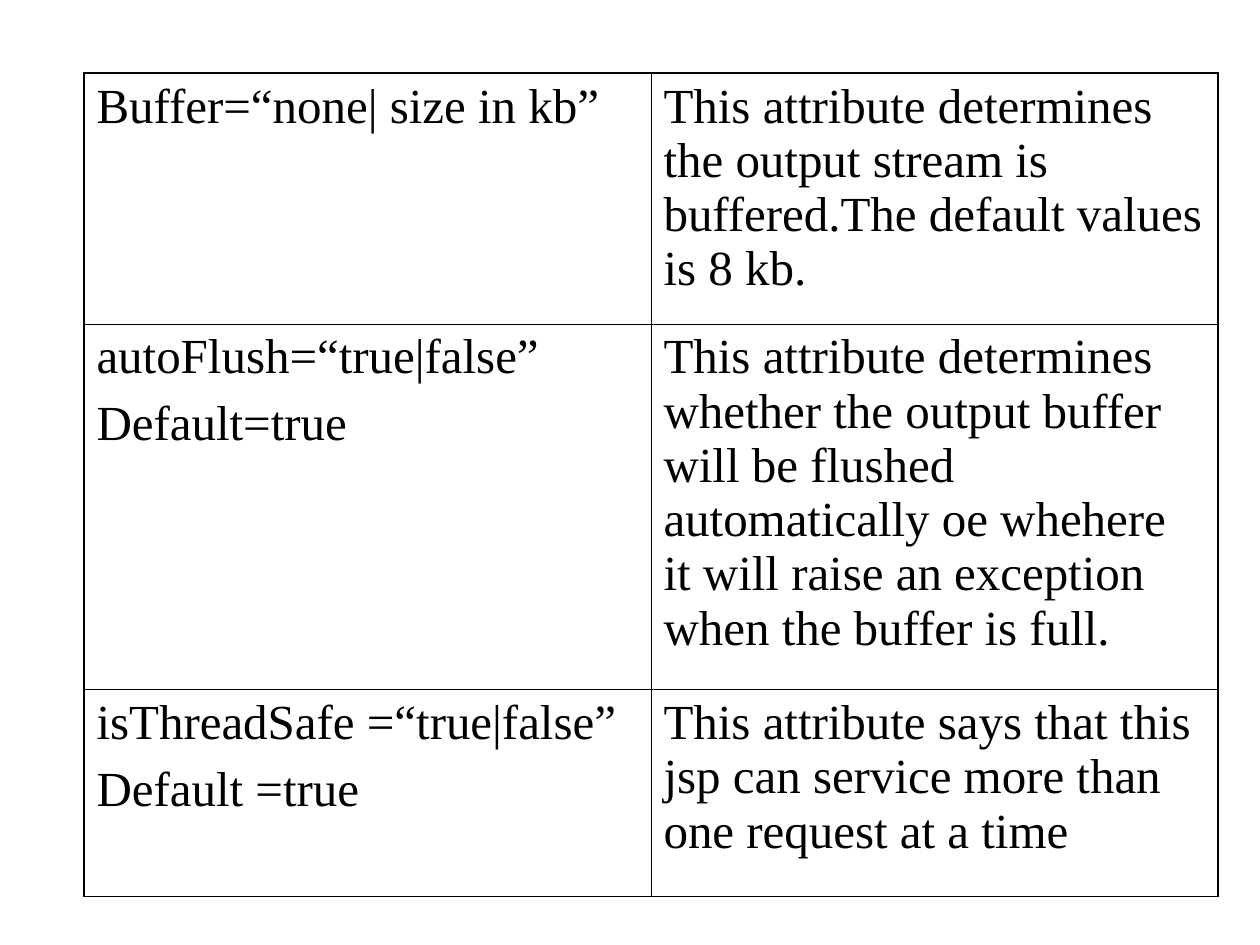
from lxml.etree import SubElement
from pptx import Presentation
from pptx.dml.color import RGBColor
from pptx.oxml.ns import qn
from pptx.util import Pt

BLACK = RGBColor(0, 0, 0)
FONT = "Times New Roman"
OUTER, INNER = Pt(1.08), Pt(0.45)
ROW_HEIGHTS = [143.4, 209, 118.2]
ATTRIBUTES = [
    ("Buffer=“none| size in kb”",
     "This attribute determines the output stream is buffered."
     "The default values is 8 kb."),
    ("autoFlush=“true|false”\nDefault=true",
     "This attribute determines whether the output buffer will be flushed "
     "automatically oe whehere it will raise an exception when the buffer is full."),
    ("isThreadSafe =“true|false”\nDefault =true",
     "This attribute says that this jsp can service more than one request at a time"),
]


def set_borders(cell, outer_sides):
    """Draw the four cell borders, heavier on the sides at the table's edge."""
    properties = cell._tc.get_or_add_tcPr()
    for side, is_outer in outer_sides.items():
        line = SubElement(properties, qn(f"a:ln{side}"), w=str(OUTER if is_outer else INNER))
        fill = SubElement(line, qn("a:solidFill"))
        SubElement(fill, qn("a:srgbClr"), val=str(BLACK))


def write_cell(cell, text):
    """Fill a cell with plain serif paragraphs."""
    cell.margin_left = cell.margin_right = Pt(7.2)
    cell.margin_top = cell.margin_bottom = Pt(3.6)
    cell.text_frame.text = text
    for paragraph in cell.text_frame.paragraphs:
        paragraph.space_before = Pt(7)
        for run in paragraph.runs:
            run.font.name = FONT
            run.font.size = Pt(28)
            run.font.color.rgb = BLACK


def add_attribute_table(slide, left, top, width, height):
    """Place the table of page attributes and their meanings."""
    last_row, last_column = len(ATTRIBUTES) - 1, len(ATTRIBUTES[0]) - 1
    table = slide.shapes.add_table(
        last_row + 1, last_column + 1, left, top, width, height).table
    table.first_row = table.horz_banding = False
    for column in table.columns:
        column.width = Pt(width.pt / (last_column + 1))
    for r, (row_height, texts) in enumerate(zip(ROW_HEIGHTS, ATTRIBUTES)):
        table.rows[r].height = Pt(row_height)
        for c, text in enumerate(texts):
            cell = table.cell(r, c)
            write_cell(cell, text)
            set_borders(cell, {"L": c == 0, "R": c == last_column,
                               "T": r == 0, "B": r == last_row})
            cell.fill.background()


def main():
    """Build and save the one-slide deck."""
    deck = Presentation()
    deck.slide_width, deck.slide_height = Pt(720), Pt(540)
    slide = deck.slides.add_slide(deck.slide_layouts[6])
    add_attribute_table(slide, Pt(48), Pt(41.75), Pt(648), Pt(sum(ROW_HEIGHTS)))
    deck.save("out.pptx")


if __name__ == "__main__":
    main()
